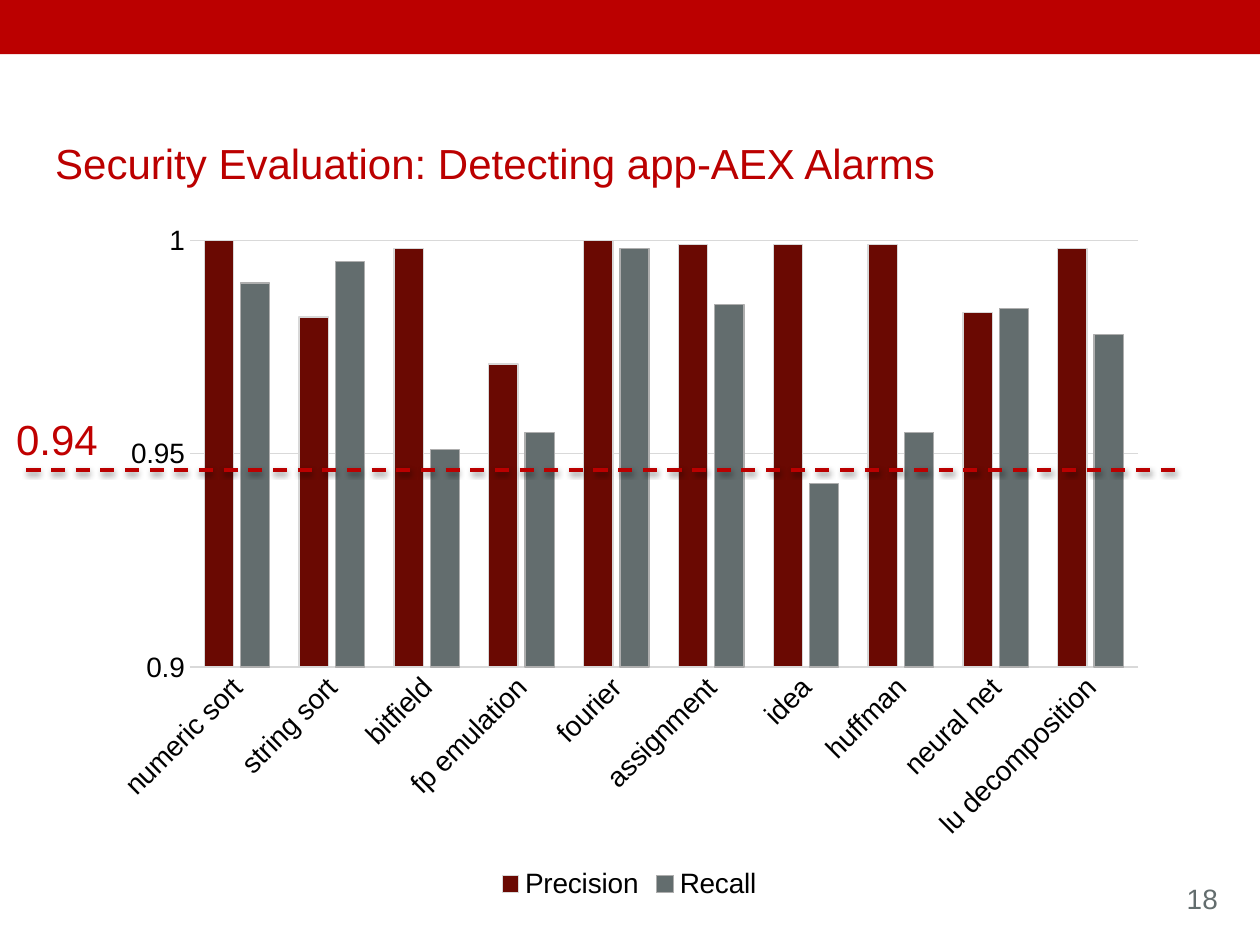
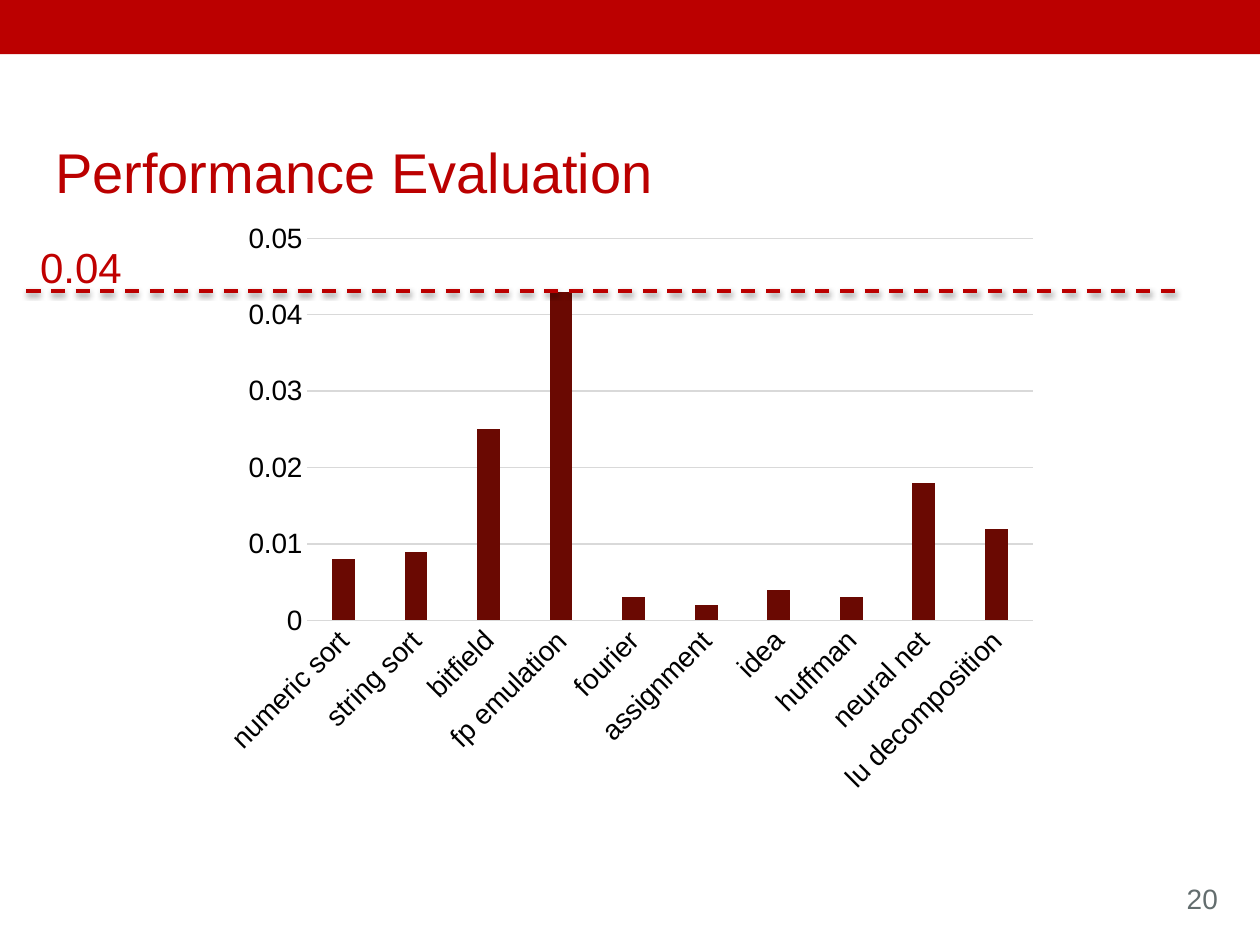
from dataclasses import dataclass
from typing import Optional

from lxml import etree
from pptx import Presentation
from pptx import util as u
from pptx.chart import data as chart_data
from pptx.dml import color
from pptx.enum import chart as chart_enum, dml, shapes
from pptx.oxml import ns, parse_xml


@dataclass(frozen=True)
class Theme:
    font: str = "Arial"
    red: str = "BB0000"
    label_red: str = "C00000"
    bar_dark: str = "6A0902"
    grey: str = "636D6E"
    black: str = "000000"
    grid: str = "D9D9D9"
    body_size: int = 16
    label_size: int = 24
    hairline: float = 0.75
    dash_width: float = 2


@dataclass(frozen=True)
class Area:
    left: float
    top: float
    width: float
    height: float


@dataclass(frozen=True)
class Series:
    name: str
    values: tuple[float, ...]
    fill: str
    outline: Optional[str] = None


@dataclass(frozen=True)
class BarChart:
    area: Area
    plot: Area
    series: tuple[Series, ...]
    minimum: float
    maximum: float
    step: float
    gap: int
    overlap: int
    legend: bool = False


@dataclass(frozen=True)
class Threshold:
    text: str
    label: Area
    height: float


@dataclass(frozen=True)
class Evaluation:
    title: str
    title_size: int
    number: int
    chart: BarChart
    threshold: Threshold


THEME = Theme()
BENCHMARKS = (
    "numeric sort", "string sort", "bitfield", "fp emulation", "fourier",
    "assignment", "idea", "huffman", "neural net", "lu decomposition",
)
TITLE_AREA = Area(0.34, 1.04, 9, 0.7)
NUMBER_AREA = Area(9.32, 6.95, 0.48, 0.37)
LINE_START, LINE_END = 0.21, 9.34

EVALUATIONS = (
    Evaluation(
        title="Security Evaluation: Detecting app-AEX Alarms",
        title_size=24,
        number=18,
        chart=BarChart(
            area=Area(0.78, 1.67, 8.43, 5.51),
            plot=Area(0.086, 0.043, 0.893, 0.615),
            series=(
                Series("Precision",
                       (1, 0.982, 0.998, 0.971, 1, 0.999, 0.999, 0.999, 0.983, 0.998),
                       THEME.bar_dark, "D8D8D8"),
                Series("Recall",
                       (0.99, 0.995, 0.951, 0.955, 0.998, 0.985, 0.943, 0.955, 0.984, 0.978),
                       THEME.grey, "AEAEAE"),
            ),
            minimum=0.9, maximum=1, step=0.05, gap=100, overlap=-24, legend=True,
        ),
        threshold=Threshold("0.94", Area(0.03, 3.23, 0.86, 0.5), 3.73),
    ),
    Evaluation(
        title="Performance Evaluation",
        title_size=32,
        number=20,
        chart=BarChart(
            area=Area(1.65, 1.67, 6.68, 4.71),
            plot=Area(0.118, 0.047, 0.862, 0.644),
            series=(
                Series("Series 1",
                       (0.008, 0.009, 0.025, 0.043, 0.003, 0.002, 0.004, 0.003, 0.018, 0.012),
                       THEME.bar_dark),
            ),
            minimum=0, maximum=0.05, step=0.01, gap=219, overlap=-27,
        ),
        threshold=Threshold("0.04", Area(0.22, 1.87, 0.86, 0.5), 2.31),
    ),
)


def rgb(value: str) -> color.RGBColor:
    return color.RGBColor.from_string(value)


def place(area: Area) -> tuple:
    return tuple(u.Inches(n) for n in (area.left, area.top, area.width, area.height))


def style_font(font, size: int, ink: str) -> None:
    font.name = THEME.font
    font.size = u.Pt(size)
    font.color.rgb = rgb(ink)


def style_line(line, ink: str, width: float) -> None:
    line.color.rgb = rgb(ink)
    line.width = u.Pt(width)


def add_text(page, text: str, *, area: Area, size: int, ink: str, wrap: bool = True) -> None:
    box = page.shapes.add_textbox(*place(area))
    box.text_frame.word_wrap = wrap
    span = box.text_frame.paragraphs[0].add_run()
    span.text = text
    style_font(span.font, size, ink)


def add_band(page, width: int) -> None:
    band = page.shapes.add_shape(shapes.MSO_SHAPE.RECTANGLE, 0, 0, width, u.Inches(0.43))
    band.shadow.inherit = False
    band.fill.solid()
    band.fill.fore_color.rgb = rgb(THEME.red)
    band.line.fill.background()


def add_threshold(page, threshold: Threshold) -> None:
    add_text(page, threshold.text, area=threshold.label,
             size=THEME.label_size, ink=THEME.label_red)
    height = u.Inches(threshold.height)
    rule = page.shapes.add_connector(
        shapes.MSO_CONNECTOR.STRAIGHT, u.Inches(LINE_START), height, u.Inches(LINE_END), height)
    style_line(rule.line, THEME.red, THEME.dash_width)
    rule.line.dash_style = dml.MSO_LINE.DASH
    rule._element.spPr.append(parse_xml(
        f'<a:effectLst {ns.nsdecls("a")}>'
        f'<a:outerShdw blurRad="{u.Pt(3.1)}" dist="{u.Pt(1.6)}" dir="5400000" rotWithShape="0">'
        f'<a:srgbClr val="{THEME.black}"><a:alpha val="38000"/></a:srgbClr>'
        '</a:outerShdw></a:effectLst>'))


def set_plot_layout(chart, plot: Area) -> None:
    plot_area = chart._chartSpace.chart.plotArea
    for old in plot_area.findall(ns.qn("c:layout")):
        plot_area.remove(old)
    layout = etree.Element(ns.qn("c:layout"))
    manual = etree.SubElement(layout, ns.qn("c:manualLayout"))
    settings = (
        ("layoutTarget", "inner"), ("xMode", "edge"), ("yMode", "edge"),
        ("x", plot.left), ("y", plot.top), ("w", plot.width), ("h", plot.height),
    )
    for name, value in settings:
        etree.SubElement(manual, ns.qn(f"c:{name}")).set("val", str(value))
    plot_area.insert(0, layout)


def style_axes(chart, model: BarChart) -> None:
    categories, values = chart.category_axis, chart.value_axis
    for axis in (categories, values):
        axis.major_tick_mark = axis.minor_tick_mark = chart_enum.XL_TICK_MARK.NONE
        style_font(axis.tick_labels.font, THEME.body_size, THEME.black)
    style_line(categories.format.line, THEME.grid, THEME.hairline)
    body = categories._element.find(ns.qn("c:txPr")).find(ns.qn("a:bodyPr"))
    body.set("rot", str(-45 * 60000))
    body.set("vert", "horz")
    values.format.line.fill.background()
    values.minimum_scale = model.minimum
    values.maximum_scale = model.maximum
    values.major_unit = model.step
    values.has_major_gridlines = True
    style_line(values.major_gridlines.format.line, THEME.grid, THEME.hairline)


def add_bar_chart(page, model: BarChart) -> None:
    table = chart_data.CategoryChartData()
    table.categories = BENCHMARKS
    for series in model.series:
        table.add_series(series.name, series.values)
    chart = page.shapes.add_chart(
        chart_enum.XL_CHART_TYPE.COLUMN_CLUSTERED, *place(model.area), table).chart
    style_font(chart.font, THEME.body_size, THEME.black)
    chart.has_title = False
    chart.has_legend = model.legend
    if model.legend:
        chart.legend.position = chart_enum.XL_LEGEND_POSITION.BOTTOM
        chart.legend.include_in_layout = False
        style_font(chart.legend.font, THEME.body_size, THEME.black)
    style_axes(chart, model)
    bars = chart.plots[0]
    bars.vary_by_categories = False
    bars.gap_width = model.gap
    bars.overlap = model.overlap
    for drawn, series in zip(bars.series, model.series):
        drawn.invert_if_negative = False
        drawn.format.fill.solid()
        drawn.format.fill.fore_color.rgb = rgb(series.fill)
        if series.outline:
            style_line(drawn.format.line, series.outline, THEME.hairline)
    set_plot_layout(chart, model.plot)


def add_evaluation(deck, evaluation: Evaluation) -> None:
    page = deck.slides.add_slide(deck.slide_layouts[6])
    add_band(page, deck.slide_width)
    add_text(page, evaluation.title, area=TITLE_AREA,
             size=evaluation.title_size, ink=THEME.red)
    add_bar_chart(page, evaluation.chart)
    add_threshold(page, evaluation.threshold)
    add_text(page, str(evaluation.number), area=NUMBER_AREA,
             size=THEME.body_size, ink=THEME.grey, wrap=False)


def main() -> None:
    deck = Presentation()
    deck.slide_width, deck.slide_height = u.Inches(10), u.Inches(7.5)
    for evaluation in EVALUATIONS:
        add_evaluation(deck, evaluation)
    deck.save("out.pptx")


if __name__ == "__main__":
    main()
